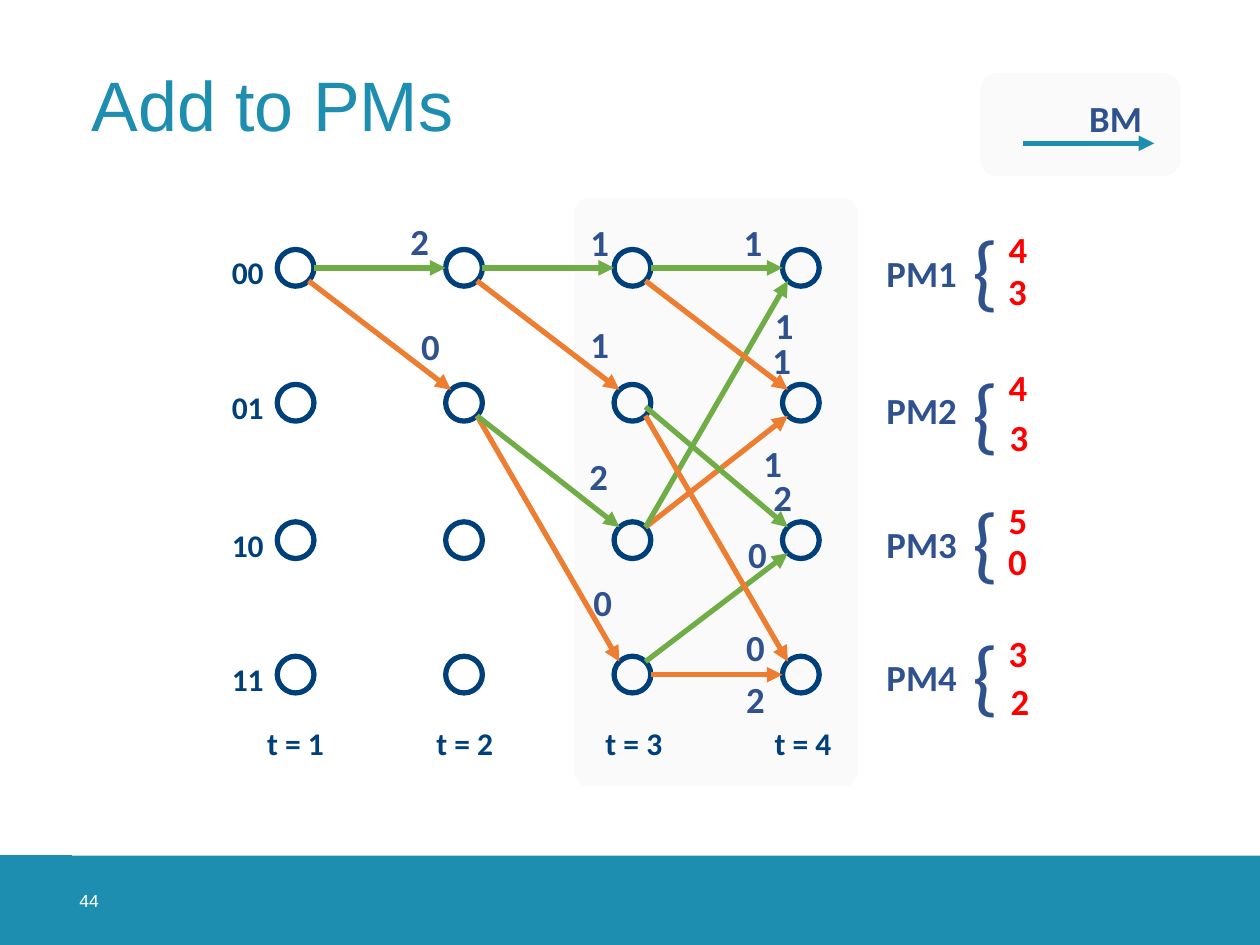
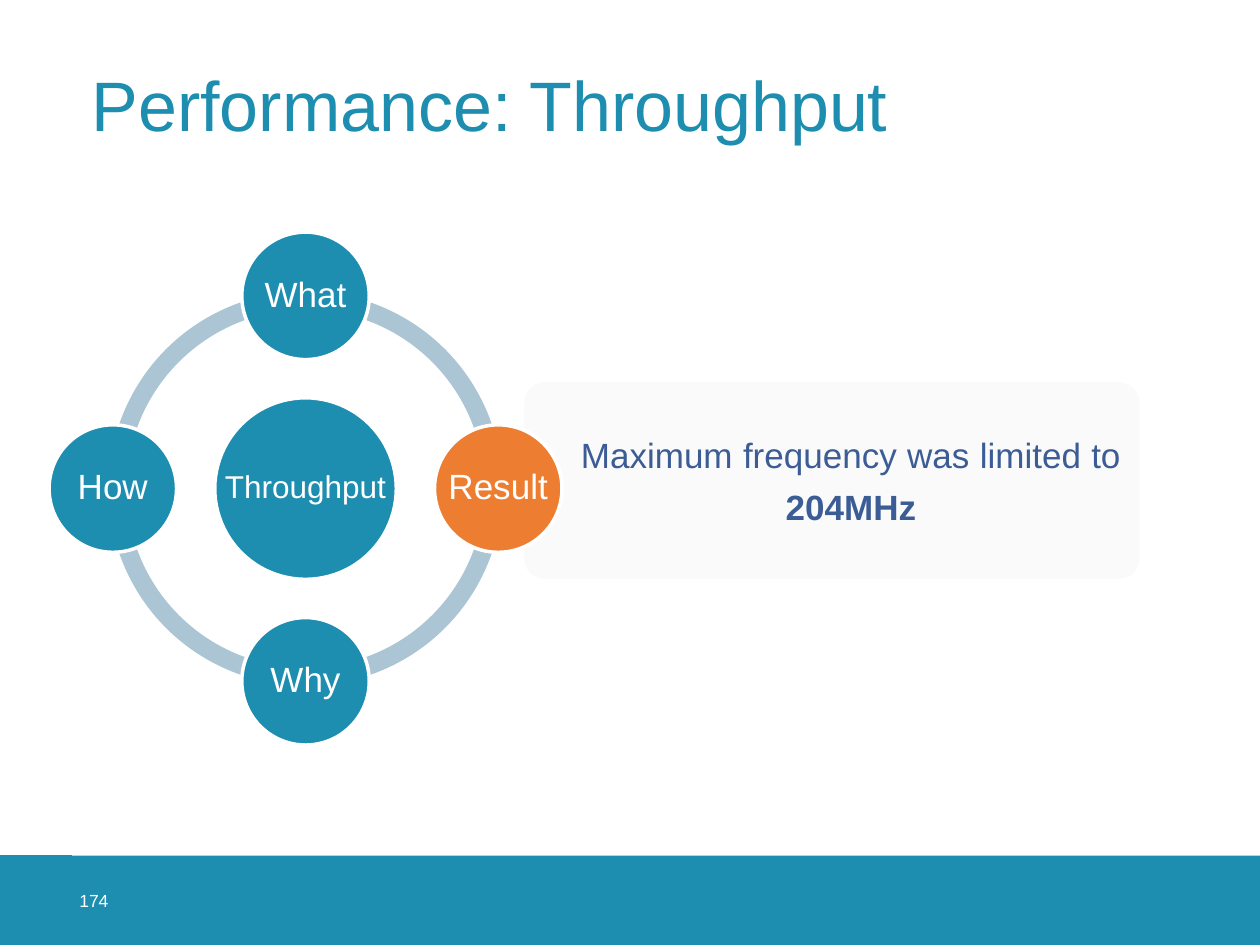
import collections
import math

import lxml.etree
import pptx
import pptx.dml.color
import pptx.enum.shapes
import pptx.enum.text
import pptx.oxml.ns
import pptx.util

Cm = pptx.util.Cm
Pt = pptx.util.Pt
SHAPE = pptx.enum.shapes.MSO_SHAPE
ALIGN = pptx.enum.text.PP_ALIGN
MIDDLE = pptx.enum.text.MSO_ANCHOR.MIDDLE

TEAL = "1D8DB0"
NAVY = "00407A"
BLUE = "2F528F"
TEXT_BLUE = "3B5C95"
ORANGE = "ED7D31"
GREEN = "70AD47"
RED = "FF0000"
PANEL = "FAFAFA"
PALE_RING = "ACC5D4"
WHITE = "FFFFFF"

Box = collections.namedtuple("Box", "left top width height")
Transition = collections.namedtuple("Transition", "step source target metric x y lift", defaults=(0,))
PathMetric = collections.namedtuple("PathMetric", "name y brace_rise upper lower lower_x lower_drop")

SLIDE = Box(0, 0, 25.4, 19.05)
FOOTER = Box(0, 17.25, 25.4, 1.8)
FOOTER_START = Box(0, 17.24, 1.45, 1.81)
TITLE = Box(1.6, 0.6, 22.2, 3.2)

STATES = ["00", "01", "10", "11"]
STATE_OFFSETS = [0, 2.72, 5.49, 8.2]
NODE_SIZE = 0.74
COLUMN_STEP = 3.395
TIME_STEP = 3.41

TRANSITIONS = [
    Transition(0, 0, 1, "0", 4.32, 2.56),
    Transition(1, 1, 3, "0", 7.79, 7.72),
    Transition(2, 3, 2, "0", 10.91, 6.75),
    Transition(2, 3, 3, "2", 10.87, 9.68),
    Transition(1, 1, 2, "2", 7.71, 5.18),
    Transition(2, 2, 1, "1", 11.22, 4.92),
    Transition(2, 2, 0, "1", 11.45, 2.13),
    Transition(2, 0, 0, "1", 10.82, 0.46),
    Transition(2, 0, 1, "1", 11.4, 2.84),
    Transition(2, 1, 3, "0", 10.87, 8.63),
    Transition(2, 1, 2, "2", 11.42, 5.61, 0.18),
    Transition(1, 0, 0, "1", 7.73, 0.47),
    Transition(1, 0, 1, "1", 7.73, 2.53),
    Transition(0, 0, 0, "2", 4.1, 0.45),
]

PATH_METRICS = [
    PathMetric("PM1", 1.09, 1.11, "4", "3", 1.93, 0.36),
    PathMetric("PM2", 3.86, 1.0, "4", "3", 1.96, 0.53),
    PathMetric("PM3", 6.55, 1.08, "5", "0", 1.93, 0.35),
    PathMetric("PM4", 9.23, 1.08, "3", "2", 1.98, 0.48),
]


def color(hex_code):
    return pptx.dml.color.RGBColor.from_string(hex_code)


def lengths(box):
    return [Cm(value) for value in box]


def add_run(paragraph, text, size, hex_code, font="Arial", bold=False):
    run = paragraph.add_run()
    run.text = text
    run.font.name = font
    run.font.size = Pt(size)
    run.font.bold = bold
    run.font.color.rgb = color(hex_code)


def prepare_frame(frame, side=0, end=0):
    frame.word_wrap = True
    frame.vertical_anchor = MIDDLE
    frame.margin_left = frame.margin_right = Cm(side)
    frame.margin_top = frame.margin_bottom = Cm(end)
    return frame


def add_figure(slide, kind, box, fill=None, outline=None, weight=2):
    figure = slide.shapes.add_shape(kind, *lengths(box))
    figure.shadow.inherit = False
    if fill:
        figure.fill.solid()
        figure.fill.fore_color.rgb = color(fill)
    else:
        figure.fill.background()
    if outline:
        figure.line.color.rgb = color(outline)
        figure.line.width = Pt(weight)
    else:
        figure.line.fill.background()
    return figure


def add_panel(slide, box, rounding, fill=PANEL):
    panel = add_figure(slide, SHAPE.ROUNDED_RECTANGLE, box, fill)
    panel.adjustments[0] = rounding
    return panel


def add_label(slide, box, text, size=21, hex_code=BLUE, bold=True, align=ALIGN.CENTER):
    paragraph = prepare_frame(add_panel(slide, box, 0.071, None).text_frame).paragraphs[0]
    paragraph.alignment = align
    add_run(paragraph, text, size, hex_code, "Calibri", bold)


def add_arrow(slide, start, finish, hex_code):
    arrow = slide.shapes.add_connector(
        pptx.enum.shapes.MSO_CONNECTOR.STRAIGHT, *lengths(start + finish))
    arrow.line.color.rgb = color(hex_code)
    arrow.line.width = Pt(3)
    properties = arrow._element.spPr
    outline = properties.find(pptx.oxml.ns.qn("a:ln"))
    lxml.etree.SubElement(outline, pptx.oxml.ns.qn("a:tailEnd"), type="triangle")
    lxml.etree.SubElement(properties, pptx.oxml.ns.qn("a:effectLst"))


def add_frame(slide, title, number):
    for band in (FOOTER, FOOTER_START):
        add_figure(slide, SHAPE.RECTANGLE, band, TEAL)
    page = slide.shapes.add_textbox(*lengths(Box(1.6, FOOTER.top, 1.8, FOOTER.height)))
    add_run(prepare_frame(page.text_frame).paragraphs[0], number, 10, WHITE)
    heading = prepare_frame(slide.shapes.add_textbox(*lengths(TITLE)).text_frame, 0.25, 0.13)
    heading.paragraphs[0].line_spacing = 0.9
    add_run(heading.paragraphs[0], title, 40, TEAL)


def node_center(box, column, row):
    return (box.left + 2.02 + column * COLUMN_STEP, box.top + 1.41 + STATE_OFFSETS[row])


def add_transition(slide, box, move):
    x1, y1 = node_center(box, move.step, move.source)
    x2, y2 = node_center(box, move.step + 1, move.target)
    direction = (move.target > move.source) - (move.target < move.source)
    reach = NODE_SIZE / 2
    if direction:
        reach *= math.sqrt(0.5)
    rise = direction * reach
    add_arrow(slide, (x1 + reach, y1 + rise - move.lift), (x2 - reach, y2 - rise),
              ORANGE if move.target % 2 else GREEN)


def add_trellis(slide, box):
    add_panel(slide, Box(box.left + 7.65, box.top, 5.69, box.height), 0.047)
    for row, state in enumerate(STATES):
        y = node_center(box, 0, row)[1]
        add_label(slide, Box(box.left, y - 0.42, 1.4, 1.02), state, 18, NAVY, align=ALIGN.RIGHT)
        for column in range(4):
            x = node_center(box, column, row)[0]
            add_figure(slide, SHAPE.OVAL,
                       Box(x - NODE_SIZE / 2, y - NODE_SIZE / 2, NODE_SIZE, NODE_SIZE),
                       outline=NAVY, weight=3)
    for column in range(4):
        add_label(slide, Box(box.left + 1.32 + column * TIME_STEP, box.top + 10.47, 1.4, 1.02),
                  f"t = {column + 1}", 18, NAVY)
    for move in TRANSITIONS:
        add_transition(slide, box, move)
    for move in TRANSITIONS:
        add_label(slide, Box(box.left + move.x, box.top + move.y, 0.84, 0.84), move.metric)


def add_path_metrics(slide, box):
    for metric in PATH_METRICS:
        y = box.top + metric.y
        add_label(slide, Box(box.left, y, 2.62, 0.84), metric.name)
        add_label(slide, Box(box.left + 2.03, y - metric.brace_rise, 1.14, 2.87), "{", 48, bold=False)
        add_label(slide, Box(box.left + 1.94, y - 0.48, 2.62, 0.84), metric.upper, hex_code=RED)
        add_label(slide, Box(box.left + metric.lower_x, y + metric.lower_drop, 2.62, 0.84),
                  metric.lower, hex_code=RED)


def add_legend(slide, box):
    add_panel(slide, box, 0.171)
    y = box.top + 1.42
    add_arrow(slide, (box.left + 0.86, y), (box.left + 3.51, y), TEAL)
    add_label(slide, Box(box.left + 2.08, box.top + 0.47, 1.3, 0.86), "BM")


def add_result_panel(slide, box):
    frame = prepare_frame(add_panel(slide, box, 0.104).text_frame)
    frame.margin_left, frame.margin_right = Cm(1.02), Cm(0.25)
    finding = frame.paragraphs[0]
    finding.alignment = ALIGN.JUSTIFY
    add_run(finding, "Maximum frequency was limited to ", 20, TEXT_BLUE)
    frequency = frame.add_paragraph()
    frequency.alignment = ALIGN.CENTER
    add_run(frequency, "204MHz", 20, TEXT_BLUE, bold=True)
    for paragraph in frame.paragraphs:
        paragraph.space_after = Pt(6)


def add_disc(slide, x, y, diameter, text, size, fill=TEAL):
    disc = add_figure(slide, SHAPE.OVAL,
                      Box(x - diameter / 2, y - diameter / 2, diameter, diameter), fill, WHITE)
    frame = prepare_frame(disc.text_frame)
    frame.word_wrap = False
    paragraph = frame.paragraphs[0]
    paragraph.alignment = ALIGN.CENTER
    paragraph.line_spacing = 0.9
    add_run(paragraph, text, size, WHITE)


def add_topic_ring(slide, box, hub, topics, current):
    x, y = box.left + box.width / 2, box.top + box.height / 2
    ring, satellite = 7.95, 2.57
    orbit = (box.width - satellite) / 2
    for start in (180, 90, 0, 270):
        arc = add_figure(slide, SHAPE.BLOCK_ARC, Box(x - ring / 2, y - ring / 2, ring, ring), PALE_RING)
        arc.adjustments[0] = start * 0.6
        arc.adjustments[1] = (start + 90) % 360 * 0.6
        arc.adjustments[2] = 0.046
    for index, topic in enumerate(topics):
        angle = math.tau * index / len(topics) - math.pi / 2
        add_disc(slide, x + orbit * math.cos(angle), y + orbit * math.sin(angle),
                 satellite, topic, 20, ORANGE if topic == current else TEAL)
    add_disc(slide, x, y, 3.66, hub, 18)


def build_trellis_slide(slide):
    add_frame(slide, "Add to PMs", "44")
    add_trellis(slide, Box(3.94, 3.99, 13.33, 11.86))
    add_path_metrics(slide, Box(17.27, 3.99, 4.6, 11.86))
    add_legend(slide, Box(19.76, 1.47, 4.04, 2.08))


def build_throughput_slide(slide):
    add_frame(slide, "Performance: Throughput", "174")
    add_result_panel(slide, Box(10.57, 7.71, 12.4, 3.96))
    add_topic_ring(slide, Box(0.99, 4.68, 10.34, 10.34), "Throughput",
                   ["What", "Result", "Why", "How"], "Result")


def main():
    deck = pptx.Presentation()
    deck.slide_width, deck.slide_height = Cm(SLIDE.width), Cm(SLIDE.height)
    blank = deck.slide_layouts[6]
    for build in (build_trellis_slide, build_throughput_slide):
        build(deck.slides.add_slide(blank))
    deck.save("out.pptx")


if __name__ == "__main__":
    main()
